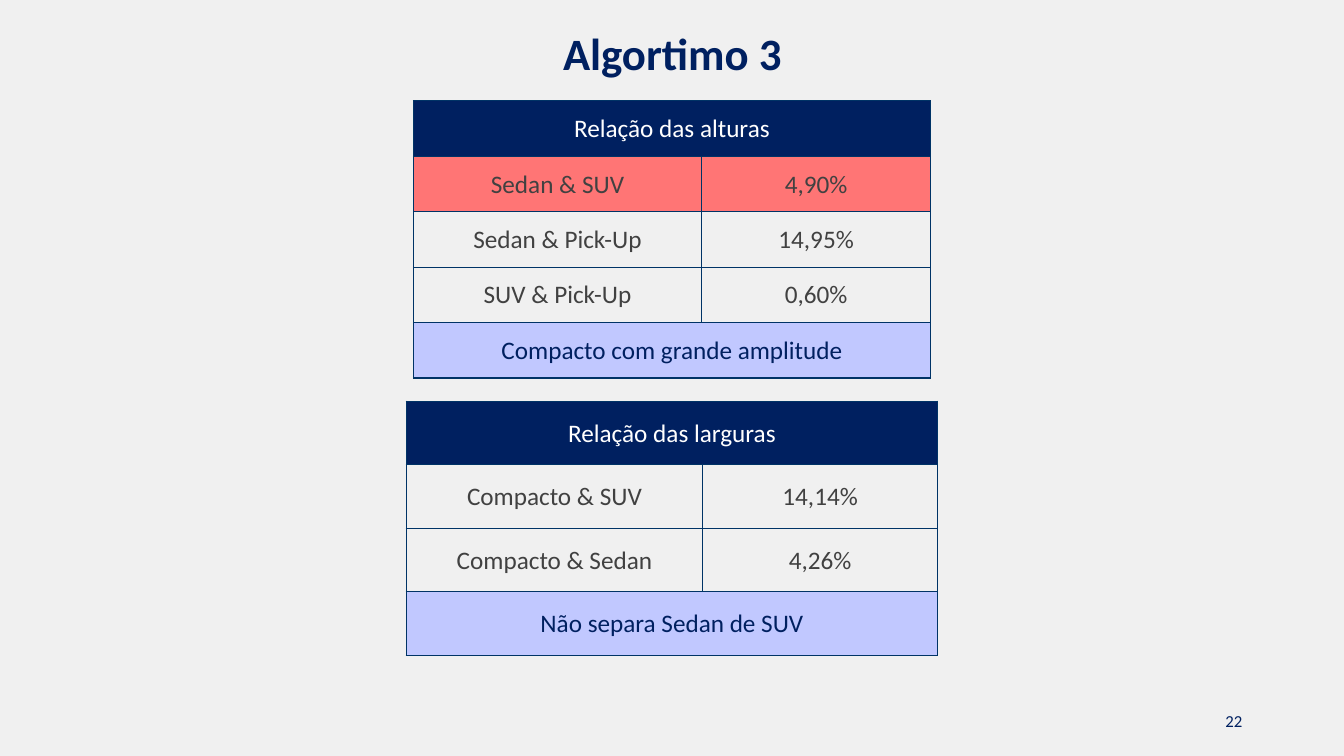
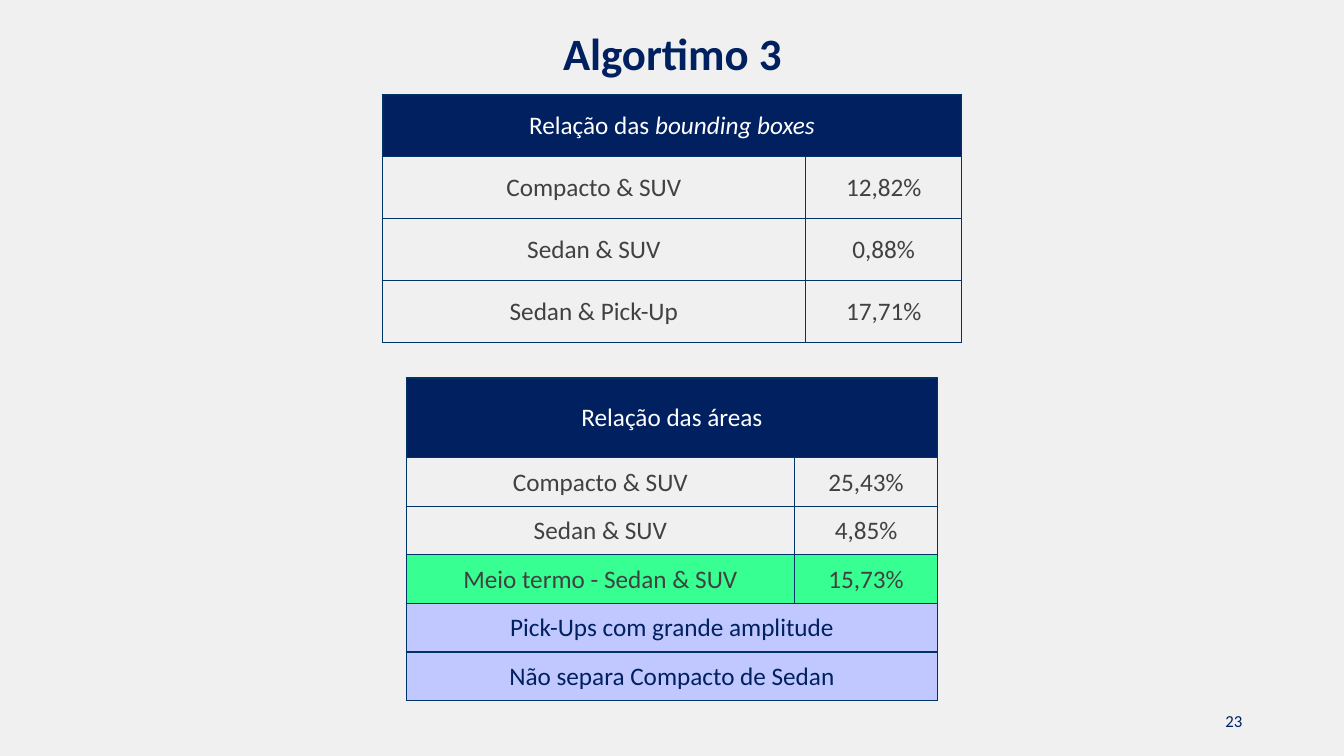
from dataclasses import dataclass

from lxml.etree import SubElement
from pptx import Presentation
from pptx.dml.color import RGBColor
from pptx.enum.text import MSO_ANCHOR, PP_ALIGN
from pptx.oxml.ns import qn
from pptx.util import Inches, Pt


@dataclass(frozen=True)
class Theme:
    font: str = "Calibri"
    background: str = "F0F0F0"
    navy: str = "002060"
    border: str = "003366"
    body: str = "414141"
    white: str = "FFFFFF"
    red: str = "FF7575"
    green: str = "37FF92"
    lilac: str = "C1C8FF"
    title_size: int = 32
    table_size: int = 18
    number_size: int = 12
    border_width: int = 1


THEME = Theme()
SLIDE_WIDTH, SLIDE_HEIGHT = 13.33, 7.5
TITLE = "Algortimo 3"
TITLE_BOX = (1.17, 0.21, 11, 0.64)
NUMBER_BOX = (9.42, 6.95, 3, 0.4)

ROW_STYLES = {
    "header": (THEME.navy, THEME.white),
    "plain": (None, THEME.body),
    "alert": (THEME.red, THEME.body),
    "good": (THEME.green, THEME.body),
    "note": (THEME.lilac, THEME.navy),
}

CELL_FORMAT = {
    "vertical_anchor": MSO_ANCHOR.MIDDLE,
    "margin_left": Inches(0.01),
    "margin_right": Inches(0.01),
    "margin_top": Inches(0.01),
    "margin_bottom": 0,
}

SLIDES = [
    {
        "number": "22",
        "relations": [
            {
                "top": 1, "height": 2.75, "columns": (2.86, 2.27),
                "rows": [
                    ("header", "Relação das alturas"),
                    ("alert", "Sedan & SUV", "4,90%"),
                    ("plain", "Sedan & Pick-Up", "14,95%"),
                    ("plain", "SUV & Pick-Up", "0,60%"),
                    ("note", "Compacto com grande amplitude"),
                ],
            },
            {
                "top": 3.98, "height": 2.52, "columns": (2.94, 2.33),
                "rows": [
                    ("header", "Relação das larguras"),
                    ("plain", "Compacto & SUV", "14,14%"),
                    ("plain", "Compacto & Sedan", "4,26%"),
                    ("note", "Não separa Sedan de SUV"),
                ],
            },
        ],
    },
    {
        "number": "23",
        "relations": [
            {
                "top": 0.94, "height": 2.46, "columns": (4.2, 1.55),
                "header_italic": "bounding boxes",
                "rows": [
                    ("header", "Relação das "),
                    ("plain", "Compacto & SUV", "12,82%"),
                    ("plain", "Sedan & SUV", "0,88%"),
                    ("plain", "Sedan & Pick-Up", "17,71%"),
                ],
            },
            {
                "top": 3.75, "height": 3.2, "columns": (3.85, 1.42),
                "header_height": 0.79,
                "rows": [
                    ("header", "Relação das áreas"),
                    ("plain", "Compacto & SUV", "25,43%"),
                    ("plain", "Sedan & SUV", "4,85%"),
                    ("good", "Meio termo - Sedan & SUV", "15,73%"),
                    ("note", "Pick-Ups com grande amplitude"),
                    ("note", "Não separa Compacto de Sedan"),
                ],
            },
        ],
    },
]


def write(paragraph, text, size, color, align, **font_format):
    paragraph.alignment = align
    run = paragraph.add_run()
    run.text = text
    run.font.color.rgb = RGBColor.from_string(color)
    values = {"name": THEME.font, "size": Pt(size), **font_format}
    for attribute, value in values.items():
        setattr(run.font, attribute, value)


def add_label(slide, box, text, size, align, anchor, **font_format):
    frame = slide.shapes.add_textbox(*map(Inches, box)).text_frame
    frame.word_wrap = True
    frame.vertical_anchor = anchor
    write(frame.paragraphs[0], text, size, THEME.navy, align, **font_format)


def add_borders(cell):
    properties = cell._tc.get_or_add_tcPr()
    for side in ("lnL", "lnR", "lnT", "lnB"):
        line = SubElement(properties, qn(f"a:{side}"), w=str(Pt(THEME.border_width)))
        fill = SubElement(line, qn("a:solidFill"))
        SubElement(fill, qn("a:srgbClr"), val=THEME.border)


def format_cell(cell, fill):
    for attribute, value in CELL_FORMAT.items():
        setattr(cell, attribute, value)
    add_borders(cell)
    if fill:
        cell.fill.solid()
        cell.fill.fore_color.rgb = RGBColor.from_string(fill)
    else:
        cell.fill.background()


def add_relation(slide, relation):
    rows, columns, height = (relation[key] for key in ("rows", "columns", "height"))
    width = sum(columns)
    header_height = relation.get("header_height", height / len(rows))
    row_height = (height - header_height) / (len(rows) - 1)
    box = ((SLIDE_WIDTH - width) / 2, relation["top"], width, height)
    table = slide.shapes.add_table(len(rows), len(columns), *map(Inches, box)).table
    table.first_row = table.horz_banding = False
    for column, column_width in zip(table.columns, columns):
        column.width = Inches(column_width)

    for index, (style, *texts) in enumerate(rows):
        fill, color = ROW_STYLES[style]
        table.rows[index].height = Inches(row_height if index else header_height)
        cells = [table.cell(index, column) for column in range(len(columns))]
        for cell in cells:
            format_cell(cell, fill)
        if len(texts) == 1:
            cells[0].merge(cells[-1])
        for cell, text in zip(cells, texts):
            write(cell.text_frame.paragraphs[0], text, THEME.table_size, color, PP_ALIGN.CENTER)

    if "header_italic" in relation:
        write(table.cell(0, 0).text_frame.paragraphs[0], relation["header_italic"],
              THEME.table_size, THEME.white, PP_ALIGN.CENTER, italic=True)


def add_slide(deck, content):
    slide = deck.slides.add_slide(deck.slide_layouts[6])
    slide.background.fill.solid()
    slide.background.fill.fore_color.rgb = RGBColor.from_string(THEME.background)
    add_label(slide, NUMBER_BOX, content["number"], THEME.number_size,
              PP_ALIGN.RIGHT, MSO_ANCHOR.MIDDLE)
    for relation in content["relations"]:
        add_relation(slide, relation)
    add_label(slide, TITLE_BOX, TITLE, THEME.title_size,
              PP_ALIGN.CENTER, MSO_ANCHOR.TOP, bold=True)


def main():
    deck = Presentation()
    deck.slide_width, deck.slide_height = Inches(SLIDE_WIDTH), Inches(SLIDE_HEIGHT)
    for content in SLIDES:
        add_slide(deck, content)
    deck.save("out.pptx")


if __name__ == "__main__":
    main()
